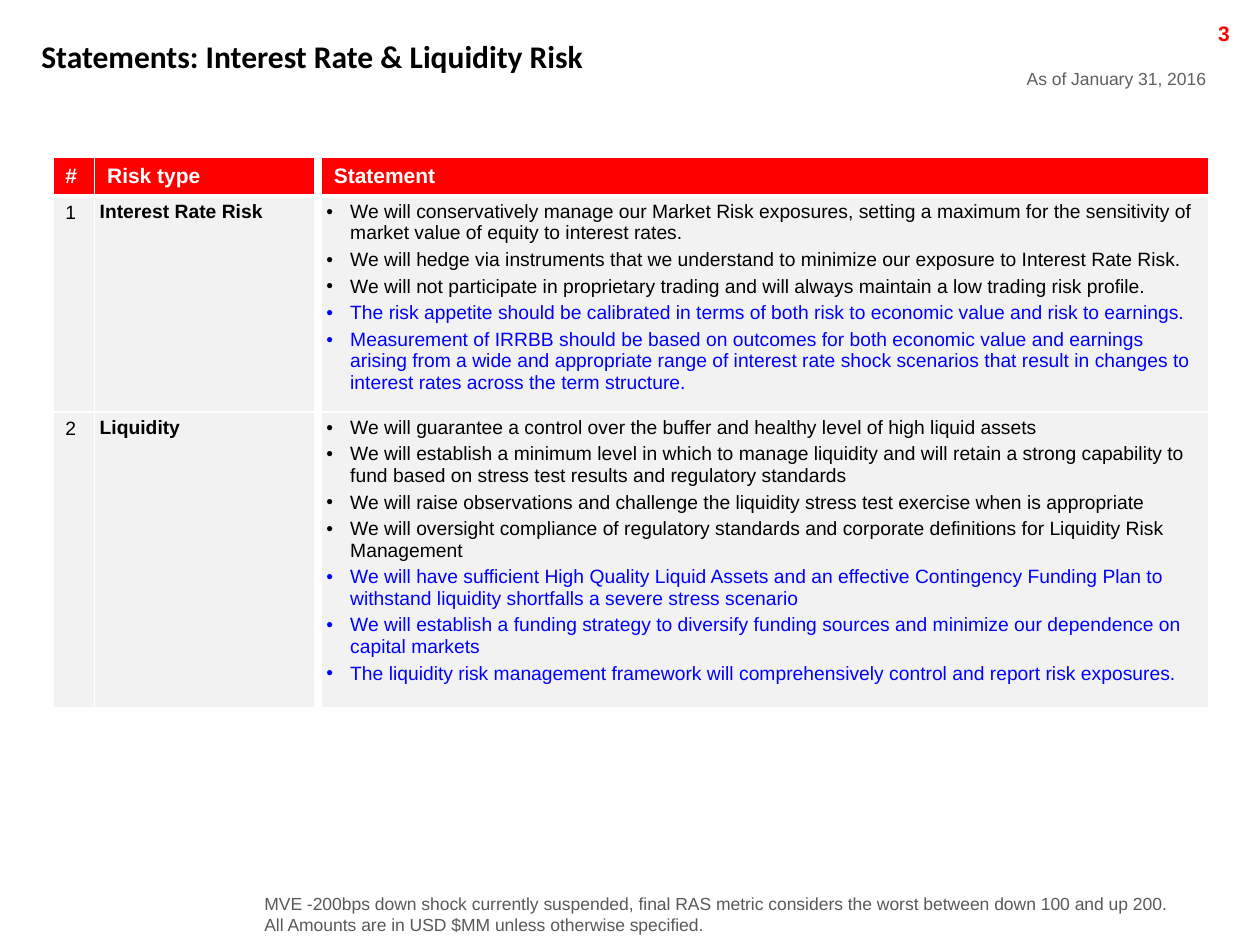
import pptx
import pptx.util
import pptx.dml.color
import pptx.enum.text
import pptx.oxml
import pptx.oxml.ns

Cm, Pt = pptx.util.Cm, pptx.util.Pt
ALIGN = pptx.enum.text.PP_ALIGN
ANCHOR = pptx.enum.text.MSO_ANCHOR
COLORS = {"red": "FF0000", "white": "FFFFFF", "black": "000000", "blue": "0000FF",
          "panel": "F2F2F2", "note": "595959", "date": "5F5F5F"}

# Each row: number, risk type, established statements, new statements
RISKS = [
    ("1", "Interest Rate Risk", [
        "We will conservatively manage our Market Risk exposures, setting a maximum for the sensitivity of market value of equity to interest rates.",
        "We will hedge via instruments that we understand to minimize our exposure to Interest Rate Risk.",
        "We will not participate in proprietary trading and will always maintain a low trading risk profile.",
    ], [
        "The risk appetite should be calibrated in terms of both risk to economic value and risk to earnings.",
        "Measurement of IRRBB should be based on outcomes for both economic value and earnings arising from a wide and appropriate range of interest rate shock scenarios that result in changes to interest rates across the term structure.",
    ]),
    ("2", "Liquidity", [
        "We will guarantee a control over the buffer and healthy level of high liquid assets",
        "We will establish a minimum level in which to manage liquidity and will retain a strong capability to fund based on stress test results and regulatory standards",
        "We will raise observations and challenge the liquidity stress test exercise when is appropriate",
        "We will oversight compliance of regulatory standards and corporate definitions for Liquidity Risk Management",
    ], [
        "We will have sufficient High Quality Liquid Assets and an effective Contingency Funding Plan to withstand liquidity shortfalls a severe stress scenario",
        "We will establish a funding strategy to diversify funding sources and minimize our dependence on capital markets",
        "The liquidity risk management framework will comprehensively control and report risk exposures.",
    ]),
]


def write(frame, lines, size, color, bold=False, align=ALIGN.LEFT, font="Calibri"):
    frame.text = "\n".join(lines)
    frame.word_wrap = True
    for para in frame.paragraphs:
        para.alignment = align
        para.font.name, para.font.size, para.font.bold = font, Pt(size), bold
        para.font.color.rgb = pptx.dml.color.RGBColor.from_string(COLORS[color])


def style_cell(cell, fill, margins, top, bottom):
    cell.margin_left = cell.margin_right = Cm(margins[0])
    cell.margin_top = cell.margin_bottom = Cm(margins[1])
    props = cell._tc.get_or_add_tcPr()
    for side, width in (("L", 1), ("R", 1), ("T", top), ("B", bottom)):
        props.append(pptx.oxml.parse_xml(
            f'<a:ln{side} {pptx.oxml.ns.nsdecls("a")} w="{Pt(width)}"><a:solidFill>'
            f'<a:srgbClr val="{COLORS["white"]}"/></a:solidFill></a:ln{side}>'))
    if fill:
        cell.fill.solid()
        cell.fill.fore_color.rgb = pptx.dml.color.RGBColor.from_string(COLORS[fill])
    else:
        cell.fill.background()


deck = pptx.Presentation()
deck.slide_width, deck.slide_height = Cm(25.4), Cm(19.05)
page = deck.slides.add_slide(deck.slide_layouts[5])

# Title
title = page.shapes.title
title.left, title.top, title.width, title.height = Cm(0.58), Cm(0.61), Cm(24.94), Cm(1.02)
write(title.text_frame, ["Statements: Interest Rate & Liquidity Risk"], 18, "black", True)
title.text_frame.vertical_anchor = ANCHOR.MIDDLE

# Page number, date and footnote
for left, top, width, height, lines, size, color, bold, align in [
    (22.63, 0.28, 2.41, 0.61, ["3"], 12, "red", True, ALIGN.RIGHT),
    (17.78, 1.24, 6.78, 0.69, ["As of January 31, 2016"], 10, "date", False, ALIGN.RIGHT),
    (5.08, 17.88, 19.86, 1.12, [
        "MVE -200bps down shock currently suspended, final RAS metric considers the worst between down 100 and up 200.",
        "All Amounts are in USD $MM unless otherwise specified."], 10, "note", False, ALIGN.LEFT),
]:
    box = page.shapes.add_textbox(Cm(left), Cm(top), Cm(width), Cm(height))
    write(box.text_frame, lines, size, color, bold, align, "Arial")

# Table grid: the narrow third column is a gap
widths, heights = [0.84, 4.44, 0.13, 17.88], [0.76, 4.34, 5.95]
table = page.shapes.add_table(3, 4, Cm(1.07), Cm(3.18), Cm(sum(widths)), Cm(sum(heights))).table
table.first_row = table.horz_banding = False
for column, width in zip(table.columns, widths):
    column.width = Cm(width)
for row, height in zip(table.rows, heights):
    row.height = Cm(height)

# Header row
for cell, label in zip(table.rows[0].cells, ["#", "Risk type", "", "Statement"]):
    style_cell(cell, "red" if label else None, (0.25, 0.13) if label else (0, 0), 1, 3)
    write(cell.text_frame, [label], 12, "white", True, font="Arial")

# Risk rows
for index, (number, risk, established, new) in enumerate(RISKS, 1):
    statements = established + new
    columns = [([number], "panel", (0.25, 0.13)), ([risk], "panel", (0.1, 0.1)),
               ([""], None, (0, 0)), (statements, "panel", (0.1, 0.1))]
    for cell, (lines, fill, margins) in zip(table.rows[index].cells, columns):
        style_cell(cell, fill, margins, 3 if index == 1 else 1, 1)
        cell.text_frame.text = "\n".join(lines)
        if lines is statements:
            for para in cell.text_frame.paragraphs:
                props = para._p.get_or_add_pPr()
                props.set("marL", str(Cm(0.48)))
                props.set("indent", str(-Cm(0.48)))
                props.append(pptx.oxml.parse_xml(
                    f'<a:buFont {pptx.oxml.ns.nsdecls("a")} typeface="Arial"/>'))
                props.append(pptx.oxml.parse_xml(
                    f'<a:buChar {pptx.oxml.ns.nsdecls("a")} char="•"/>'))
        for place, para in enumerate(cell.text_frame.paragraphs):
            para.font.name, para.font.size = "Arial", Pt(11)
            para.font.bold = lines == [risk]
            color = "blue" if place >= len(established) else "black"
            para.font.color.rgb = pptx.dml.color.RGBColor.from_string(COLORS[color])
            if place:
                para.space_before = Pt(3)

deck.save("out.pptx")
